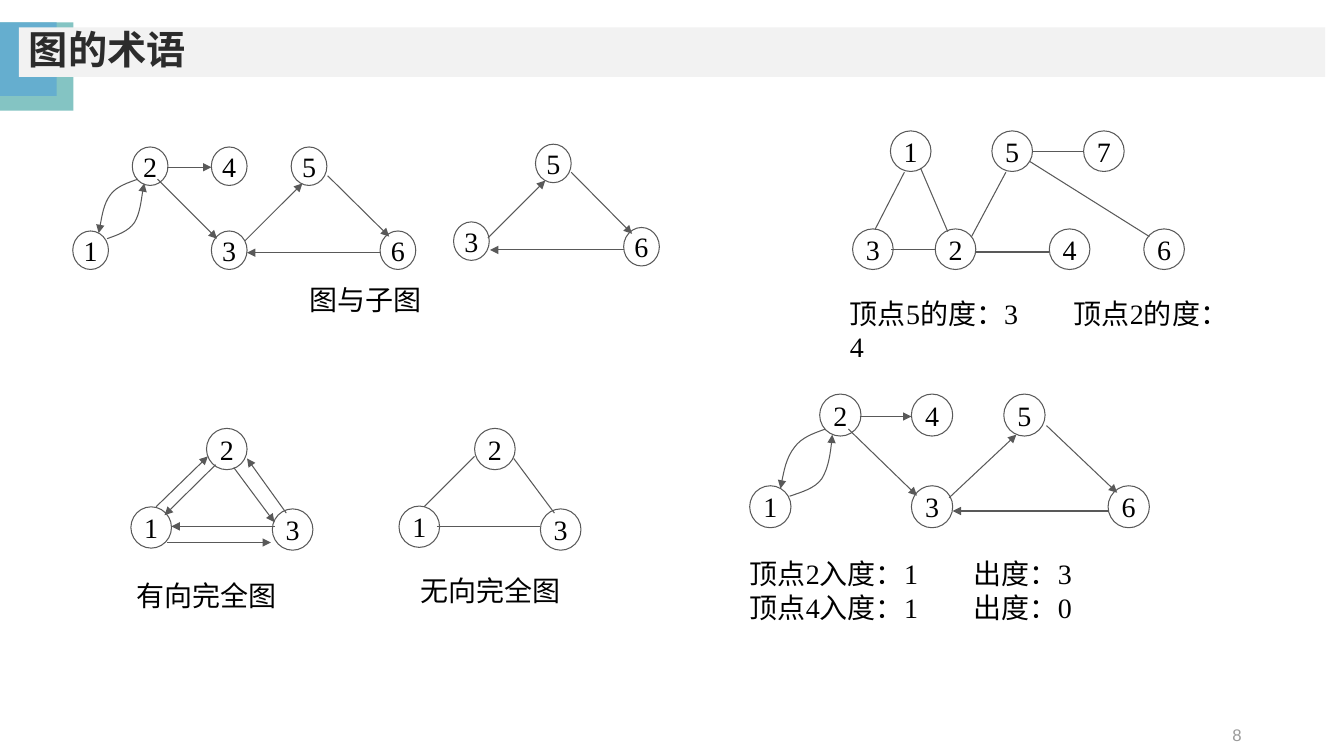
from lxml.etree import SubElement
from pptx import Presentation
from pptx.dml.color import RGBColor
from pptx.enum.shapes import MSO_CONNECTOR, MSO_SHAPE
from pptx.enum.text import MSO_ANCHOR, MSO_AUTO_SIZE, PP_ALIGN
from pptx.oxml.ns import qn
from pptx.util import Pt

COLORS = {"teal": "84C4C3", "blue": "65AECF", "band": "F2F2F2", "title": "2C2C2C",
          "number": "9B9B9B", "line": "595959", "text": "000000"}

# Each graph: node size, top left of each node, edges (x1, y1, x2, y2),
# and curves of two cubic segments (start point, then three points per segment).
GRAPHS = [
    dict(size=(29, 29.5), directed=True,
         nodes={"2": (147.5, 306), "1": (93.5, 362), "3": (194.5, 363.5)},
         edges=[(119.5, 387.5, 193.5, 387.5), (196.5, 376, 122.5, 376),
                (111.5, 362, 148.5, 326), (154, 332, 117.5, 368),
                (167, 334, 196, 373), (204.5, 366.5, 176.5, 327.5)]),
    dict(size=(29, 29.5), directed=False,
         nodes={"2": (339, 306), "1": (285, 361.5), "3": (386, 363.5)},
         edges=[(312, 376, 386, 376), (303, 362, 339, 326), (367, 327.5, 396, 366.5)]),
    dict(size=(25.5, 27.5), directed=True,
         nodes={"3": (324, 158.5), "5": (382.5, 103), "6": (445.5, 162.5)},
         edges=[(445.5, 178.5, 350, 178.5), (348.5, 170, 389.5, 129),
                (408, 123, 451.5, 167)]),
    dict(size=(25.5, 27.5), directed=True,
         nodes={"2": (94.5, 105), "4": (151, 105), "5": (208, 105),
                "1": (52, 165), "3": (151, 165), "6": (271.5, 165)},
         edges=[(119.5, 119.5, 151, 119.5), (112.5, 128, 155, 170.5),
                (272, 180.5, 176.5, 180.5), (175, 172, 216, 131), (234, 125.5, 278, 169)],
         curves=[[(98.5, 128), (91.5, 130.5), (83.5, 133), (79, 139),
                  (74, 145.5), (71.5, 162), (70.5, 166.5)],
                 [(76.5, 170.5), (83.5, 168), (91.5, 165.5), (96, 159),
                  (100, 152.5), (102, 134.5), (103, 131)]]),
    dict(size=(29.5, 30), directed=True,
         nodes={"2": (585.5, 281.5), "4": (651, 281.5), "5": (717, 281.5),
                "1": (535.5, 347), "3": (651, 347), "6": (791.5, 347)},
         edges=[(614, 297.5, 651, 297.5), (606, 306.5, 655, 354),
                (791.5, 365, 680.5, 365), (678, 355.5, 726, 310.5), (747.5, 304, 798, 352)],
         curves=[[(589.5, 306.5), (581, 309.5), (572.5, 312.5), (567.5, 319.5),
                  (561.5, 327), (558, 345.5), (557.5, 349)],
                 [(564, 354.5), (572.5, 351.5), (582, 349), (587, 342),
                  (592, 334), (594.5, 314.5), (594.5, 310.5)]]),
    dict(size=(29, 29), directed=False,
         nodes={"1": (636, 93.5), "5": (708.5, 93.5), "7": (774, 93.5), "3": (609, 163.5),
                "2": (668, 163.5), "4": (749.5, 163.5), "6": (817, 163.5)},
         edges=[(646, 123, 625, 164), (636.5, 178.5, 668, 178.5), (657.5, 120, 677, 165.5),
                (718.5, 123, 694, 169), (697.5, 180, 749.5, 180), (738, 108, 773.5, 108),
                (735, 115, 821, 169)]),
]

CAPTIONS = [
    ((90.5, 409.5, 133, 42.5), ["有向完全图"]),
    ((293, 406, 129, 42.5), ["无向完全图"]),
    ((214, 198.5, 109.5, 35.5), ["图与子图"]),
    ((528.5, 394, 319.5, 73.5), ["顶点2入度：1\t出度：3", "顶点4入度：1\t出度：0"]),
    ((600, 208, 277, 33), ["顶点5的度：3\t顶点2的度：4"]),
]
CAPTION_TAB = 160


def rgb(name):
    return RGBColor.from_string(COLORS[name])


def points(values):
    return [Pt(value) for value in values]


def write(para, text, size=20, font="Times New Roman", color="text", bold=False,
          align=PP_ALIGN.LEFT):
    para.alignment = align
    span = para.add_run()
    span.text = text
    span.font.size = Pt(size)
    span.font.name = font
    span.font.bold = bold
    span.font.color.rgb = rgb(color)


def add_tab_stop(para, position):
    tabs = SubElement(para._p.get_or_add_pPr(), qn("a:tabLst"))
    SubElement(tabs, qn("a:tab"), pos=str(Pt(position)), algn="l")


def style_line(shape, arrow):
    shape.line.color.rgb = rgb("line")
    shape.line.width = Pt(0.75)
    if arrow:
        SubElement(shape.line._get_or_add_ln(), qn("a:tailEnd"), type="triangle")


def add_bar(shapes, frame, color):
    bar = shapes.add_shape(MSO_SHAPE.RECTANGLE, *points(frame))
    bar.shadow.inherit = False
    bar.fill.solid()
    bar.fill.fore_color.rgb = rgb(color)
    bar.line.fill.background()


def add_node(shapes, label, position, size):
    node = shapes.add_shape(MSO_SHAPE.OVAL, *points(position + size))
    node.shadow.inherit = False
    node.fill.background()
    style_line(node, arrow=False)
    frame = node.text_frame
    frame.word_wrap = False
    frame.vertical_anchor = MSO_ANCHOR.MIDDLE
    frame.margin_left = frame.margin_right = frame.margin_top = frame.margin_bottom = 0
    write(frame.paragraphs[0], label, align=PP_ALIGN.CENTER)


def add_edge(shapes, ends, arrow):
    edge = shapes.add_connector(MSO_CONNECTOR.STRAIGHT, *points(ends))
    style_line(edge, arrow)
    SubElement(edge._element.spPr, qn("a:effectLst"))


def add_curve(shapes, vertices):
    """Draw an open arrow, turning every three line segments into one cubic."""
    start, *rest = [points(vertex) for vertex in vertices]
    builder = shapes.build_freeform(*start, scale=1.0)
    builder.add_line_segments(rest, close=False)
    curve = builder.convert_to_shape()
    curve.shadow.inherit = False
    curve.fill.background()
    style_line(curve, arrow=True)
    outline = next(curve._element.iter(qn("a:path")))
    for index, segment in enumerate(outline.findall(qn("a:lnTo"))):
        if index % 3 == 0:
            cubic = SubElement(outline, qn("a:cubicBezTo"))
        cubic.append(segment[0])
        outline.remove(segment)


def add_graph(shapes, size, directed, nodes, edges, curves=()):
    for label, position in nodes.items():
        add_node(shapes, label, position, size)
    for ends in edges:
        add_edge(shapes, ends, directed)
    for vertices in curves:
        add_curve(shapes, vertices)


def add_caption(shapes, frame, lines):
    box = shapes.add_textbox(*points(frame))
    box.text_frame.word_wrap = True
    for index, line in enumerate(lines):
        para = box.text_frame.add_paragraph() if index else box.text_frame.paragraphs[0]
        if "\t" in line:
            add_tab_stop(para, CAPTION_TAB)
        write(para, line)


def add_page_number(shapes, number):
    box = shapes.add_textbox(*points((678, 510.5, 216, 29)))
    box.text_frame.word_wrap = True
    box.text_frame.vertical_anchor = MSO_ANCHOR.MIDDLE
    write(box.text_frame.paragraphs[0], number, size=12, font="Arial", color="number",
          align=PP_ALIGN.RIGHT)


def format_title(shapes, text):
    title = shapes.title
    title.left, title.top, title.width, title.height = points((13.5, 19.5, 933, 35.5))
    title.fill.solid()
    title.fill.fore_color.rgb = rgb("band")
    frame = title.text_frame
    frame.auto_size = MSO_AUTO_SIZE.NONE
    frame.vertical_anchor = MSO_ANCHOR.MIDDLE
    para = frame.paragraphs[0]
    para.line_spacing = 0.9
    write(para, text, size=28, font="Arial", color="title", bold=True)
    shapes._spTree.append(title._element)  # in front of the corner bars


def main():
    deck = Presentation()
    deck.slide_width, deck.slide_height = Pt(960), Pt(540)
    shapes = deck.slides.add_slide(deck.slide_layouts[5]).shapes
    add_bar(shapes, (0, 16, 52.5, 63), "teal")
    add_bar(shapes, (0, 16, 40.5, 52.5), "blue")
    format_title(shapes, "图的术语")
    add_page_number(shapes, "8")
    for graph in GRAPHS:
        add_graph(shapes, **graph)
    for frame, lines in CAPTIONS:
        add_caption(shapes, frame, lines)
    deck.save("out.pptx")


if __name__ == "__main__":
    main()
